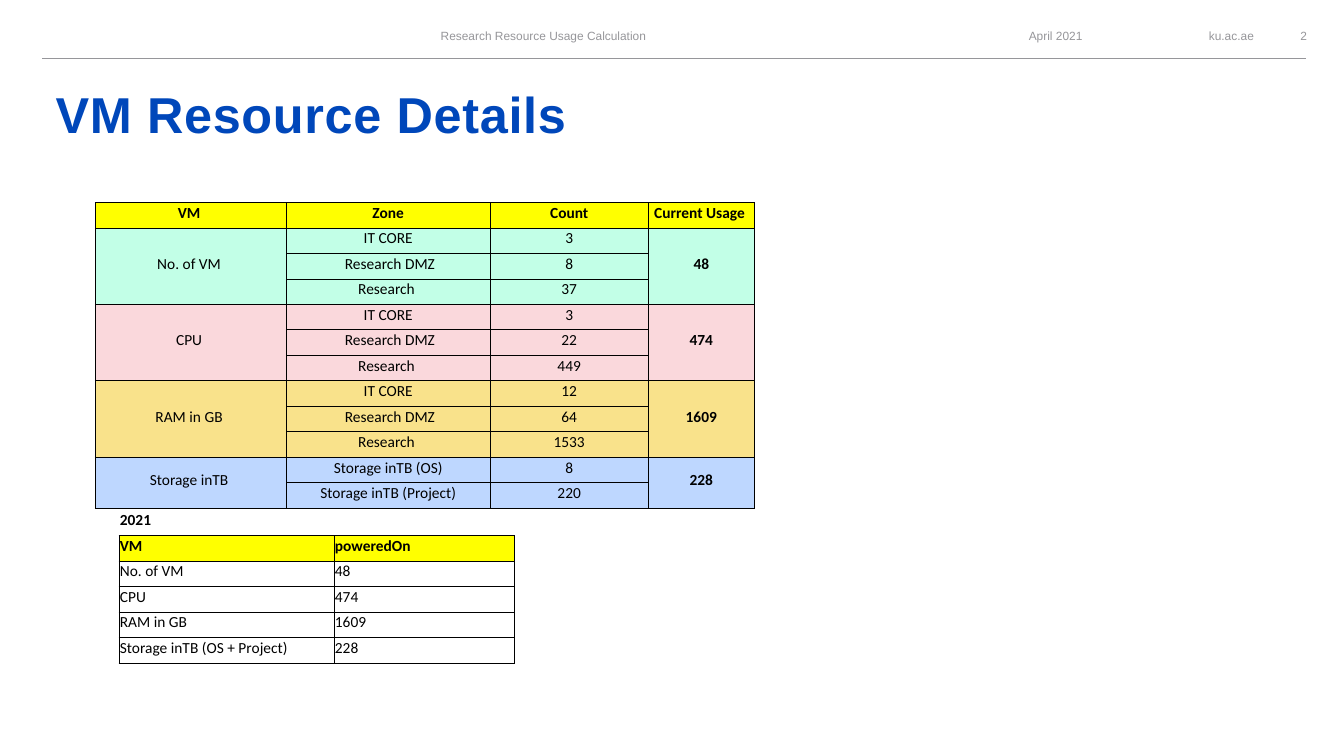
"""Build the VM resource details slide."""
from dataclasses import dataclass
from typing import Any, Optional

from lxml.etree import SubElement as Sub
from pptx import Presentation
from pptx.dml.color import RGBColor
from pptx.enum.shapes import MSO_CONNECTOR as Link
from pptx.enum.text import MSO_ANCHOR as Anchor, PP_ALIGN as Align
from pptx.oxml.ns import qn
from pptx.table import Table
from pptx.util import Cm, Pt

BLUE = RGBColor(0x00, 0x47, 0xBA)
GRAY = RGBColor(0x96, 0x96, 0x9A)
BLACK = RGBColor(0x00, 0x00, 0x00)
YELLOW = RGBColor(0xFF, 0xFF, 0x00)
MINT = RGBColor(0xC2, 0xFF, 0xE7)
PINK = RGBColor(0xFA, 0xD8, 0xDC)
GOLD = RGBColor(0xF9, 0xE2, 0x8B)
SKY = RGBColor(0xBE, 0xD7, 0xFF)

TALL = Cm(7.71 / 12)
SMALL = {"name": "Arial", "size": Pt(8.5), "bold": False}
TITLE = {"name": "Arial", "size": Pt(36), "bold": True}
BODY = {"name": "Calibri", "size": Pt(11)}
FRAME = {"margin_left": 0, "margin_right": 0, "margin_top": 0,
         "margin_bottom": 0, "word_wrap": True}
CELL = {"margin_left": Cm(0.02), "margin_right": Cm(0.02),
        "margin_top": Cm(0.02), "margin_bottom": Cm(0.13),
        "vertical_anchor": Anchor.MIDDLE}


@dataclass
class Label:
    """A text box, with lengths in centimetres."""
    text: str
    box: tuple[float, float, float, float]
    align: Align
    font: dict[str, Any]
    color: RGBColor = GRAY
    anchor: Anchor = Anchor.MIDDLE
    space: int = 0


@dataclass
class Group:
    """Zones of one resource and their total."""
    name: str
    total: str
    fill: RGBColor
    zones: list[tuple[str, str]]


@dataclass
class Row:
    """One table row, with its bold columns and border sides."""
    texts: tuple[str, ...]
    bold: tuple[int, ...] = ()
    fill: Optional[RGBColor] = None
    sides: str = "LRTB"


def zones(core: str, dmz: str, rest: str) -> list[tuple[str, str]]:
    """Pair the three network zones with their counts."""
    return [(" IT CORE ", core), (" Research DMZ", dmz), ("Research ", rest)]


LABELS = [
    Label("ku.ac.ae", (28.93, 0.56, 2.67, 0.69), Align.RIGHT, SMALL),
    Label("VM Resource Details", (1.4, 1.96, 14, 1.65), Align.LEFT, TITLE,
          BLUE, Anchor.BOTTOM, 50),
    Label("April 2021", (22.45, 0.56, 4.83, 0.69), Align.RIGHT, SMALL),
    Label("Research Resource Usage Calculation", (7.98, 0.56, 11.43, 0.69),
          Align.CENTER, SMALL),
    Label("2", (32.13, 0.56, 1.45, 0.69), Align.CENTER, SMALL),
]
GROUPS = [
    Group("No. of VM ", "48", MINT, zones("3", "8", "37")),
    Group("CPU ", "474", PINK, zones("3", "22", "449")),
    Group("RAM in GB ", "1609", GOLD, zones("12", "64", "1533")),
    Group("Storage inTB ", "228", SKY,
          [("Storage inTB (OS)", "8"), ("Storage inTB (Project)", "220")]),
]
POWER = [
    Row(("2021", ""), (0,), sides="B"),
    Row(("VM", "poweredOn"), (0, 1), YELLOW),
    Row(("No. of VM", "48")),
    Row(("CPU", "474")),
    Row(("RAM in GB", "1609")),
    Row(("Storage inTB (OS + Project)", "228")),
]


def apply(item: Any, values: dict[str, Any]) -> None:
    """Set each named value on the item."""
    for key, value in values.items():
        setattr(item, key, value)


def write(para: Any, text: str, font: dict[str, Any], color: RGBColor) -> Any:
    """Add one formatted run to the paragraph."""
    run = para.add_run()
    run.text = text
    apply(run.font, font)
    run.font.color.rgb = color
    return run


def label(slide: Any, spec: Label) -> None:
    """Draw a text box."""
    frame = slide.shapes.add_textbox(*map(Cm, spec.box)).text_frame
    apply(frame, FRAME | {"vertical_anchor": spec.anchor})
    para = frame.paragraphs[0]
    para.alignment = spec.align
    run = write(para, spec.text, spec.font, spec.color)
    if spec.space:
        run.font._element.set("spc", str(spec.space))


def border(cell: Any, sides: str) -> None:
    """Draw the given sides of a cell and clear the others."""
    props = cell._tc.get_or_add_tcPr()
    for side in "LRTB":
        line = Sub(props, qn(f"a:ln{side}"), w=str(Pt(0.5)))
        if side in sides:
            paint = Sub(line, qn("a:solidFill"))
            Sub(paint, qn("a:srgbClr"), val=str(BLACK))
        else:
            Sub(line, qn("a:noFill"))


def fill(cell: Any, text: str, bold: bool, row: Row, align: Align) -> None:
    """Format one cell and write its text."""
    apply(cell, CELL)
    border(cell, row.sides)
    if row.fill is None:
        cell.fill.background()
    else:
        cell.fill.solid()
        cell.fill.fore_color.rgb = row.fill
    para = cell.text_frame.paragraphs[0]
    para.alignment = align
    if text:
        write(para, text, BODY | {"bold": bold}, BLACK)
    else:
        Sub(para._p, qn("a:endParaRPr"), sz="1100")


def grid(slide: Any, left: float, top: float, widths: list[float],
         rows: list[Row], align: Align) -> Table:
    """Draw a table with rows of equal height."""
    table = slide.shapes.add_table(
        len(rows), len(widths), Cm(left), Cm(top),
        Cm(sum(widths)), TALL * len(rows)).table
    apply(table, {"first_row": False, "horz_banding": False})
    for col, width in zip(table.columns, widths):
        col.width = Cm(width)
    for i, row in enumerate(rows):
        table.rows[i].height = TALL
        for j, text in enumerate(row.texts):
            fill(table.cell(i, j), text, j in row.bold, row, align)
    return table


def usage(slide: Any) -> None:
    """Draw the usage table and merge each group's outer columns."""
    rows = [Row(("VM ", "Zone", "Count", "Current Usage "),
                (0, 1, 2, 3), YELLOW)]
    spans = []
    for group in GROUPS:
        spans.append((len(rows), len(rows) + len(group.zones) - 1))
        for i, zone in enumerate(group.zones):
            name, total = ("", "") if i else (group.name, group.total)
            rows.append(Row((name, *zone, total), (3,), group.fill))
    table = grid(slide, 2.4, 5.1, [4.82, 5.13, 3.99, 2.67], rows, Align.CENTER)
    for first, last in spans:
        for col in (0, 3):
            table.cell(first, col).merge(table.cell(last, col))


def main() -> None:
    """Build and save the slide."""
    deck = Presentation()
    apply(deck, {"slide_width": Cm(33.87), "slide_height": Cm(19.05)})
    slide = deck.slides.add_slide(deck.slide_layouts[6])
    rule = slide.shapes.add_connector(
        Link.STRAIGHT, Cm(1.07), Cm(1.47), Cm(32.92), Cm(1.47))
    rule.line.color.rgb = GRAY
    rule.line.width = Pt(0.75)
    Sub(rule._element.spPr, qn("a:effectLst"))
    for item in LABELS:
        label(slide, item)
    usage(slide)
    grid(slide, 3, 12.85, [5.42, 4.55], POWER, Align.LEFT)
    deck.save("out.pptx")


if __name__ == "__main__":
    main()
